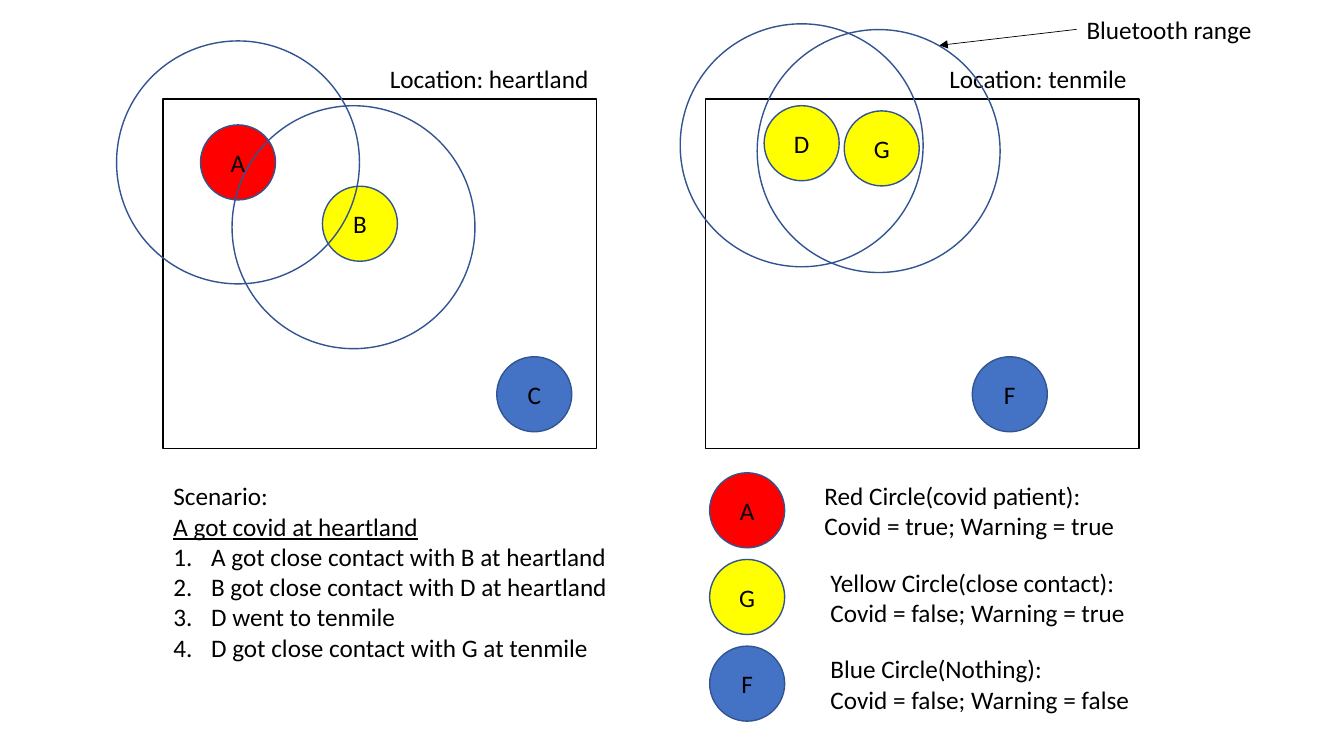
from lxml.etree import SubElement as Sub
from pptx import Presentation
from pptx.dml.color import RGBColor
from pptx.enum.shapes import MSO_CONNECTOR as Link, MSO_SHAPE as Form
from pptx.enum.text import MSO_ANCHOR as Anchor, MSO_AUTO_SIZE as Auto, PP_ALIGN as Align
from pptx.oxml.ns import qn
from pptx.util import Pt

RED = RGBColor(0xFF, 0x00, 0x00)
YELLOW = RGBColor(0xFF, 0xFF, 0x00)
BLUE = RGBColor(0x44, 0x72, 0xC4)
NAVY = RGBColor(0x32, 0x54, 0x91)
BLACK = RGBColor(0x00, 0x00, 0x00)

DISC = 53.6
RING = 173.5
STEP = 61.9
FONT = {"name": "Calibri", "size": Pt(18)}
FRAME = {"word_wrap": True, "vertical_anchor": Anchor.TOP, "auto_size": Auto.NONE}
PARA = {"space_before": Pt(0), "space_after": Pt(0), "line_spacing": 1.0}


def put(item, style):
    for key, value in style.items():
        setattr(item, key, value)


def write(frame, lines, align=Align.LEFT, **extra):
    put(frame, FRAME | extra)
    for num, line in enumerate(lines):
        para = frame.add_paragraph() if num else frame.paragraphs[0]
        put(para, PARA | {"alignment": align})
        run = para.add_run()
        run.text = line
        put(run.font, FONT)
        run.font.color.rgb = BLACK


def label(slide, box, *lines):
    write(slide.shapes.add_textbox(*map(Pt, box)).text_frame, lines)


def shape(slide, form, box, edge, fill=None):
    item = slide.shapes.add_shape(form, *map(Pt, box))
    item.shadow.inherit = False
    if fill is None:
        item.fill.background()
    else:
        item.fill.solid()
        item.fill.fore_color.rgb = fill
    item.line.color.rgb = edge
    item.line.width = Pt(1)
    return item


def circle(slide, x, y, size, fill=None):
    box = (x - size / 2, y - size / 2, size, size)
    return shape(slide, Form.OVAL, box, NAVY, fill)


def disc(slide, x, y, name, fill):
    item = circle(slide, x, y, DISC, fill)
    write(item.text_frame, [name], Align.CENTER, vertical_anchor=Anchor.MIDDLE)


def place(slide, box, name, shift, people, rings):
    left, top, width, height = box
    for x, y, who, fill in people:
        disc(slide, left + x, top + y, who, fill)
    shape(slide, Form.RECTANGLE, box, BLACK)
    label(slide, (left + shift, top - 29, 190, 28.8), f"Location: {name}")
    for x, y in rings:
        circle(slide, left + x, top + y, RING)


def story(slide, box, heads, steps):
    body = slide.placeholders[1]
    put(body, dict(zip(("left", "top", "width", "height"), map(Pt, box))))
    write(body.text_frame, heads + steps)
    paras = body.text_frame.paragraphs
    paras[1].runs[0].font.underline = True
    for num, para in enumerate(paras):
        prop = para._p.get_or_add_pPr()
        item = num >= len(heads)
        pad = Pt(27) if item else Pt(0)
        prop.set("marL", str(pad))
        prop.set("indent", str(-pad))
        if item:
            Sub(prop, qn("a:buFont"), typeface="+mj-lt")
            Sub(prop, qn("a:buAutoNum"), type="arabicPeriod")
        else:
            Sub(prop, qn("a:buNone"))


def legend(slide, box, rows):
    left, top, width, height = box
    for num, (who, fill, pad, *lines) in enumerate(rows):
        mid = top + DISC / 2 + num * STEP
        disc(slide, left + DISC / 2, mid, who, fill)
        label(slide, (left + pad, mid - 25, width - pad, 51), *lines)


def callout(slide, box, tip, text):
    label(slide, box, text)
    left, top, width, height = box
    ends = (left, top + height / 2, *tip)
    arrow = slide.shapes.add_connector(Link.STRAIGHT, *map(Pt, ends))
    arrow.line.color.rgb = BLACK
    arrow.line.width = Pt(0.5)
    Sub(arrow.line._get_or_add_ln(), qn("a:tailEnd"), type="triangle")
    Sub(arrow.element.spPr, qn("a:effectLst"))


def main():
    deck = Presentation()
    put(deck, {"slide_width": Pt(960), "slide_height": Pt(540)})
    slide = deck.slides.add_slide(deck.slide_layouts[1])
    title = slide.shapes.title.element
    title.getparent().remove(title)

    place(slide, (116.6, 70.6, 309.6, 249.8), "heartland", 154.8,
          [(53.4, 45.4, "A", RED), (265, 211, "C", BLUE), (140.5, 89.2, "B", YELLOW)],
          [(53.4, 45.4), (135.9, 91.7)])
    place(slide, (504, 70.6, 309.6, 249.8), "tenmile", 167,
          [(125.8, 35.4, "G", YELLOW), (68.6, 31.7, "D", YELLOW), (217.3, 211, "F", BLUE)],
          [(68.6, 33.2), (123.6, 37.3)])
    story(slide, (116.6, 339.8, 387.4, 138.2),
          ["Scenario:", "A got covid at heartland"],
          ["A got close contact with B at heartland",
           "B got close contact with D at heartland",
           "D went to tenmile",
           "D got close contact with G at tenmile"])
    legend(slide, (506.9, 337.7, 356, 178), [
        ("A", RED, 74.9, "Red Circle(covid patient):", "Covid = true; Warning = true"),
        ("G", YELLOW, 79.2, "Yellow Circle(close contact):", "Covid = false; Warning = true"),
        ("F", BLUE, 79.2, "Blue Circle(Nothing):", "Covid = false; Warning = false"),
    ])
    callout(slide, (769, 6.6, 143.3, 28.8), (671, 32.4), "Bluetooth range")
    deck.save("out.pptx")


if __name__ == "__main__":
    main()
